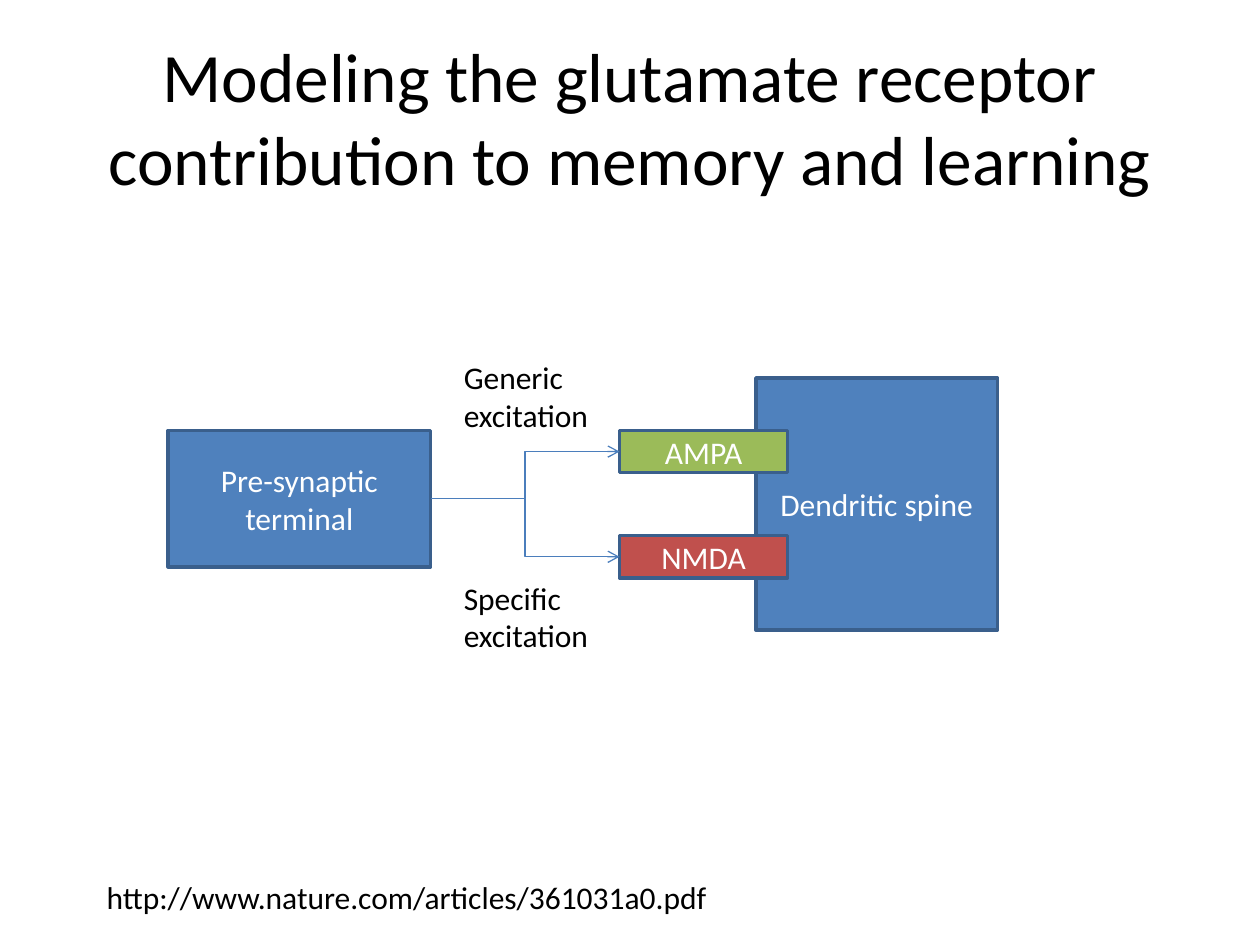
from pptx import Presentation
from pptx.dml.color import RGBColor
from pptx.enum.shapes import MSO_CONNECTOR, MSO_SHAPE
from pptx.enum.text import MSO_ANCHOR, PP_ALIGN
from pptx.oxml.ns import qn
from pptx.util import Cm, Pt
from lxml import etree

RECT = MSO_SHAPE.RECTANGLE
ELBOW = MSO_CONNECTOR.ELBOW
MIDDLE = MSO_ANCHOR.MIDDLE
CENTER, LEFT = PP_ALIGN.CENTER, PP_ALIGN.LEFT
BLUE, GREEN, RED = "4F81BD", "9BBB59", "C0504D"
EDGE, WIRE = "3A5F8C", "4B7EBC"
BLACK, WHITE = "000000", "FFFFFF"


def color(code):
    return RGBColor.from_string(code)


def write(shape, text, ink=BLACK, align=LEFT, size=18):
    frame = shape.text_frame
    frame.word_wrap = True
    frame.text = text
    para = frame.paragraphs[0]
    para.alignment = align
    para.font.name = "Calibri"
    para.font.size = Pt(size)
    para.font.color.rgb = color(ink)


def add_title(slide, text):
    title = slide.shapes.title
    title.left, title.top = Cm(1.27), Cm(0.76)
    title.width, title.height = Cm(22.86), Cm(3.18)
    write(title, text, align=CENTER, size=39.6)
    title.text_frame.vertical_anchor = MIDDLE


def add_label(slide, text, x, y, w, h):
    write(slide.shapes.add_textbox(Cm(x), Cm(y), Cm(w), Cm(h)), text)


def add_box(slide, text, fill, x, y, w, h):
    box = slide.shapes.add_shape(RECT, Cm(x), Cm(y), Cm(w), Cm(h))
    box.shadow.inherit = False
    box.fill.solid()
    box.fill.fore_color.rgb = color(fill)
    box.line.color.rgb = color(EDGE)
    box.line.width = Pt(2)
    write(box, text, WHITE, CENTER)
    box.text_frame.vertical_anchor = MIDDLE
    return box


def add_arrow(slide, start, end):
    """Run an elbow arrow from the right side of start to the left side of end."""
    arrow = slide.shapes.add_connector(ELBOW, 0, 0, 0, 0)
    arrow.begin_connect(start, 3)
    arrow.end_connect(end, 1)
    arrow.line.color.rgb = color(WIRE)
    arrow.line.width = Pt(0.75)
    etree.SubElement(arrow.line._get_or_add_ln(), qn("a:tailEnd"), type="arrow")
    etree.SubElement(arrow._element.spPr, qn("a:effectLst"))


def main():
    deck = Presentation()
    deck.slide_width, deck.slide_height = Cm(25.4), Cm(19.05)
    slide = deck.slides.add_slide(deck.slide_layouts[5])

    add_title(slide, "Modeling the glutamate receptor "
                     "contribution to memory and learning")
    add_label(slide, "http://www.nature.com/articles/361031a0.pdf",
              1.9, 17.58, 20.52, 1.07)

    source = add_box(slide, "Pre-synaptic terminal", BLUE, 3.39, 8.68, 5.29, 2.75)
    add_box(slide, "Dendritic spine", BLUE, 15.24, 7.62, 4.87, 5.08)

    paths = [
        ("AMPA", GREEN, 8.68, "Generic excitation", 7.09),
        ("NMDA", RED, 10.8, "Specific excitation", 11.54),
    ]
    for name, fill, top, label, label_top in paths:
        gate = add_box(slide, name, fill, 12.49, top, 3.39, 0.85)
        add_arrow(slide, source, gate)
        add_label(slide, label, 9.1, label_top, 3.6, 1.8)

    deck.save("out.pptx")


if __name__ == "__main__":
    main()
